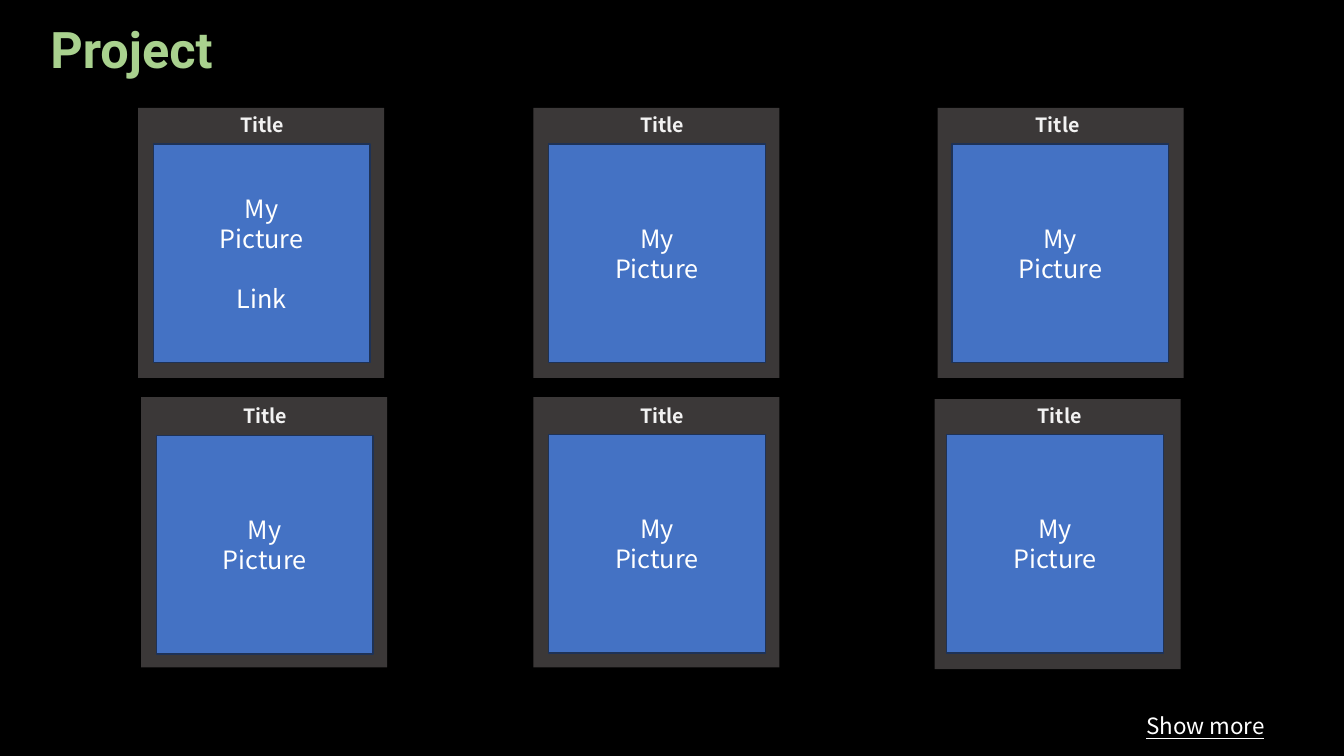
from pptx import Presentation
from pptx.dml.color import RGBColor
from pptx.enum.shapes import MSO_SHAPE
from pptx.enum.text import MSO_ANCHOR, MSO_AUTO_SIZE, PP_ALIGN
from pptx.util import Inches, Pt


def colour(hex_string):
    return RGBColor.from_string(hex_string)


class ProjectPage:
    heading_font = "Roboto"
    body_font = "Noto Sans CJK JP"
    background = "000000"
    heading_colour = "A9D18E"
    frame_colour = "3B3838"
    picture_colour = "4472C4"
    picture_border = "1E3256"
    caption_colour = "F2F2F2"
    text_colour = "FFFFFF"

    def __init__(self, deck):
        self.page = deck.slides.add_slide(deck.slide_layouts[5])
        fill = self.page.background.fill
        fill.solid()
        fill.fore_color.rgb = colour(self.background)

    def add_span(self, para, text, size, hex_string, font=body_font, bold=False, underline=False):
        span = para.add_run()
        span.text = text
        span.font.name = font
        span.font.size = Pt(size)
        span.font.bold = bold
        span.font.underline = underline
        span.font.color.rgb = colour(hex_string)

    def heading(self, text, left, top, width, height):
        box = self.page.shapes.title
        box.left, box.top = Inches(left), Inches(top)
        box.width, box.height = Inches(width), Inches(height)
        frame = box.text_frame
        frame.auto_size = MSO_AUTO_SIZE.NONE
        frame.vertical_anchor = MSO_ANCHOR.MIDDLE
        frame.margin_left = Inches(0.35)
        para = frame.paragraphs[0]
        para.alignment = PP_ALIGN.LEFT
        self.add_span(para, text, 36, self.heading_colour, self.heading_font, bold=True)

    def rectangle(self, left, top, width, height, fill, border=None):
        box = self.page.shapes.add_shape(
            MSO_SHAPE.RECTANGLE, Inches(left), Inches(top), Inches(width), Inches(height))
        box.shadow.inherit = False
        box.fill.solid()
        box.fill.fore_color.rgb = colour(fill)
        if border:
            box.line.color.rgb = colour(border)
            box.line.width = Pt(1)
        else:
            box.line.fill.background()
        return box

    def text_box(self, left, top, width, height):
        box = self.page.shapes.add_textbox(
            Inches(left), Inches(top), Inches(width), Inches(height))
        box.text_frame.word_wrap = True
        return box.text_frame.paragraphs[0]

    def picture(self, left, top, lines):
        box = self.rectangle(left, top, 2.15, 2.17, self.picture_colour, self.picture_border)
        frame = box.text_frame
        frame.vertical_anchor = MSO_ANCHOR.MIDDLE
        for index, line in enumerate(lines):
            para = frame.add_paragraph() if index else frame.paragraphs[0]
            para.alignment = PP_ALIGN.CENTER
            if line == "Link":
                para.space_before = Pt(21.4)
            self.add_span(para, line, 18, self.text_colour)

    def caption(self, left, top):
        para = self.text_box(left, top, 1.46, 0.44)
        para.alignment = PP_ALIGN.CENTER
        self.add_span(para, "Title", 14, self.caption_colour, bold=True)

    def card(self, frame_at, picture_at, caption_at, lines):
        self.rectangle(*frame_at, 2.44, 2.68, self.frame_colour)
        self.picture(*picture_at, lines)
        self.caption(*caption_at)

    def more(self, text, left, top, width, height):
        para = self.text_box(left, top, width, height)
        para.line_spacing = 2.5
        self.add_span(para, text, 16, self.text_colour, underline=True)


def main():
    deck = Presentation()
    deck.slide_width, deck.slide_height = Inches(13.33), Inches(7.5)
    project = ProjectPage(deck)
    project.heading("Project", 0.15, 0.14, 6.29, 0.68)

    label = ["My", "Picture"]
    cards = [
        ((1.37, 1.07), (1.52, 1.43), (1.87, 1.07), label + ["Link"]),
        ((5.29, 1.07), (5.44, 1.43), (5.84, 1.07), label),
        ((9.3, 1.07), (9.44, 1.43), (9.76, 1.07), label),
        ((1.4, 3.94), (1.55, 4.32), (1.9, 3.96), label),
        ((5.29, 3.94), (5.44, 4.31), (5.84, 3.96), label),
        ((9.27, 3.96), (9.39, 4.31), (9.78, 3.96), label),
    ]
    for card in cards:
        project.card(*card)

    project.more("Show more", 11.27, 6.62, 1.49, 0.68)
    deck.save("out.pptx")


if __name__ == "__main__":
    main()
